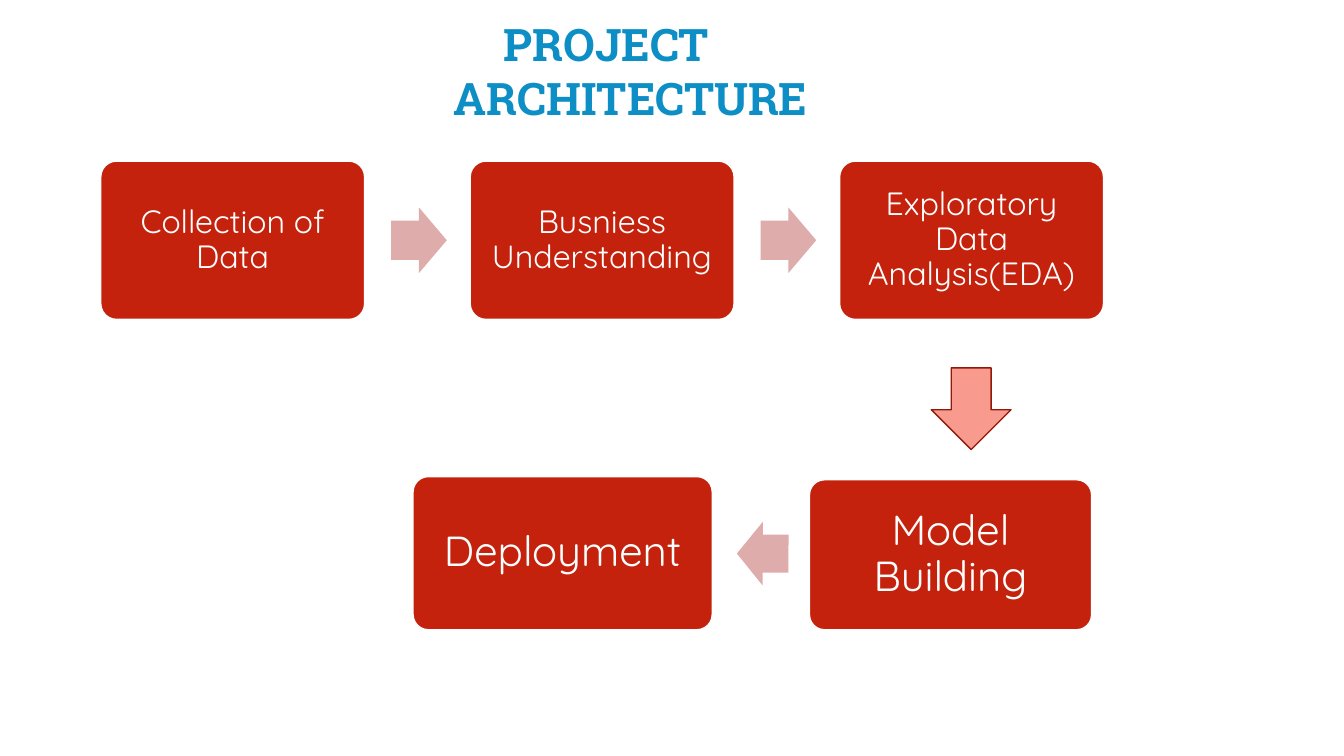
from pptx import Presentation
from pptx import util as u
from pptx.dml.color import RGBColor
from pptx.enum import shapes, text

SHAPE = shapes.MSO_SHAPE
RED, PINK, SALMON, DARK_RED = "C4220D", "DEACAB", "F89A8E", "91190A"
BLUE, WHITE = "0D8EC5", "FFFFFF"


def color(hex_code):
    return RGBColor.from_string(hex_code)


def add_shape(slide, kind, box, fill, line=None):
    """Draw a flat preset shape in box: left, top, width, height in cm."""
    shape = slide.shapes.add_shape(kind, *map(u.Cm, box))
    shape.shadow.inherit = False
    shape.fill.solid()
    shape.fill.fore_color.rgb = color(fill)
    if line:
        shape.line.color.rgb = color(line)
        shape.line.width = u.Pt(1)
    else:
        shape.line.fill.background()
    return shape


def format_run(paragraph, font_name, size, hex_code, bold=False):
    font = paragraph.runs[0].font
    font.name, font.size, font.bold = font_name, u.Pt(size), bold
    font.color.rgb = color(hex_code)


def add_title(slide, box):
    frame = slide.shapes.add_textbox(*map(u.Cm, box)).text_frame
    frame.word_wrap = True
    frame.text = "PROJECT ARCHITECTURE"
    paragraph = frame.paragraphs[0]
    properties = paragraph._p.get_or_add_pPr()
    properties.set("marL", "0")
    properties.set("indent", str(u.Cm(1.27)))
    format_run(paragraph, "Roboto Slab", 32, BLUE, bold=True)


def add_step(slide, box, label, size, inset):
    shape = add_shape(slide, SHAPE.ROUNDED_RECTANGLE, box, RED, WHITE)
    shape.adjustments[0] = 0.1
    frame = shape.text_frame
    frame.word_wrap = True
    frame.vertical_anchor = text.MSO_ANCHOR.MIDDLE
    frame.margin_left = frame.margin_right = u.Cm(inset)
    frame.margin_top = frame.margin_bottom = u.Cm(inset)
    frame.text = label
    paragraph = frame.paragraphs[0]
    paragraph.alignment = text.PP_ALIGN.CENTER
    paragraph.line_spacing = 0.9
    format_run(paragraph, "Quicksand", size, WHITE)


def add_side_arrow(slide, box, rotation=0):
    arrow = add_shape(slide, SHAPE.RIGHT_ARROW, box, PINK)
    arrow.adjustments[0] = 0.6
    arrow.rotation = rotation


def add_upper_row(slide, box):
    """Three equal steps across the box, with an arrow in each gap."""
    left, top, width, height = box
    labels = ["Collection of Data", "Busniess Understanding",
              "Exploratory Data Analysis(EDA)"]
    step_width, arrow_width, arrow_height = 6.65, 1.4, 1.65
    pitch = (width - step_width) / (len(labels) - 1)
    for index, label in enumerate(labels):
        x = left + index * pitch
        add_step(slide, (x, top, step_width, height), label, 23, 0.36)
        if index:
            add_side_arrow(slide, (x - 1.99, top + (height - arrow_height) / 2,
                                   arrow_width, arrow_height))


def add_lower_row(slide, box):
    """Deployment on the left, fed by Model Building on the right."""
    left, top, width, height = box
    model_width = 7.11
    add_step(slide, (left, top, 7.54, height), "Deployment", 30, 0.42)
    add_side_arrow(slide, (left + 8.16, top + 1.14, 1.3, 1.6), rotation=180.2)
    add_step(slide, (left + width - model_width, top + 0.08,
                     model_width, height - 0.08), "Model Building", 30, 0.42)


def main():
    presentation = Presentation()
    presentation.slide_width = u.Cm(33.87)
    presentation.slide_height = u.Cm(19.05)
    slide = presentation.slides.add_slide(presentation.slide_layouts[6])
    add_title(slide, (11.18, 0.3, 10.87, 3.3))
    add_upper_row(slide, (2.54, 4.06, 25.27, 3.99))
    add_lower_row(slide, (10.41, 12.01, 17.1, 3.86))
    add_shape(slide, SHAPE.DOWN_ARROW, (23.47, 9.27, 2.01, 2.06),
              SALMON, DARK_RED)
    presentation.save("out.pptx")


if __name__ == "__main__":
    main()
